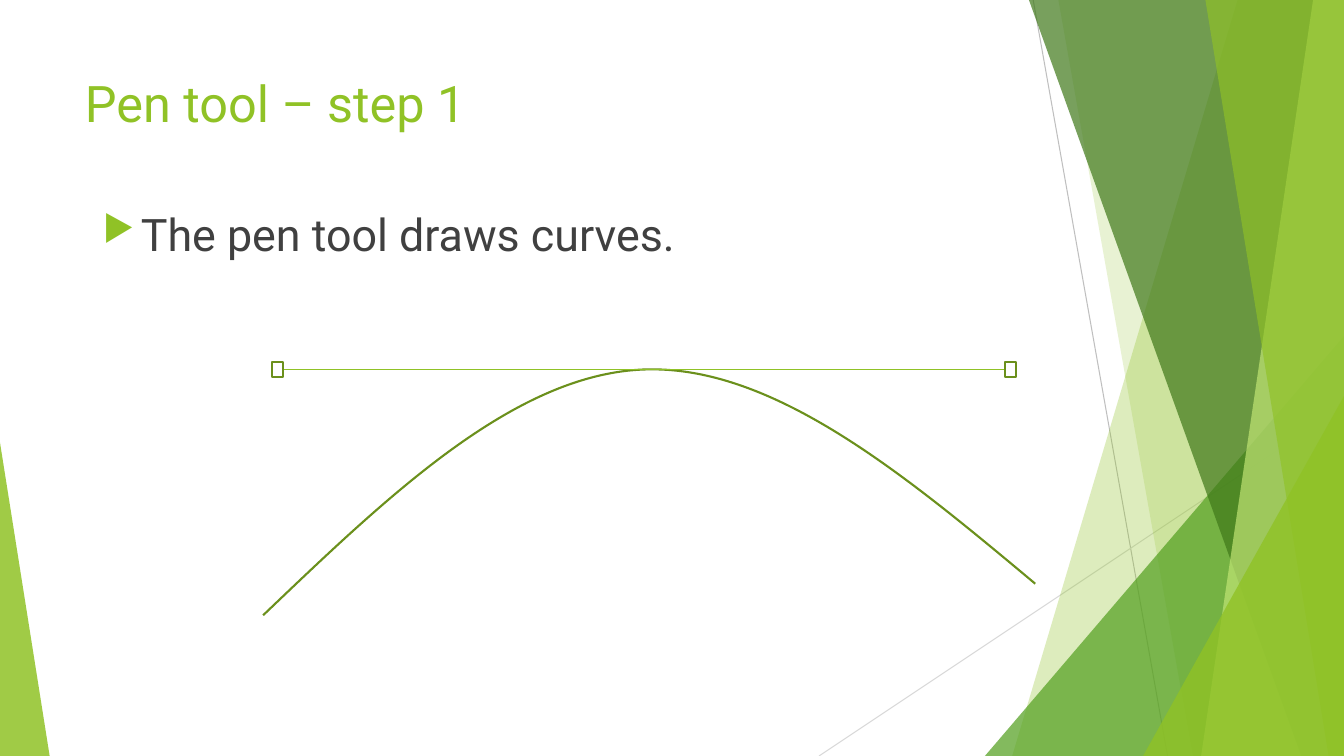
from lxml.etree import SubElement
from pptx import Presentation
from pptx.dml.color import RGBColor
from pptx.enum.shapes import MSO_CONNECTOR, MSO_SHAPE
from pptx.enum.text import MSO_ANCHOR, PP_ALIGN
from pptx.oxml.ns import qn
from pptx.util import Pt

GREEN = "90C226"
DARK_GREEN = "6B901C"
FONT = "Roboto"


def color(value):
    return RGBColor.from_string(value)


def fill_translucent(shape, value, opacity):
    shape.shadow.inherit = False
    shape.line.fill.background()
    shape.fill.solid()
    shape.fill.fore_color.rgb = color(value)
    solid = shape.fill.fore_color._xFill
    SubElement(solid[0], qn("a:alpha")).set("val", str(opacity * 1000))


def outline(shape, value, width):
    shape.shadow.inherit = False
    shape.fill.background()
    shape.line.color.rgb = color(value)
    shape.line.width = Pt(width)


def add_line(page, start, end, value, width):
    line = page.shapes.add_connector(
        MSO_CONNECTOR.STRAIGHT, *(Pt(length) for length in (*start, *end))
    )
    line.line.color.rgb = color(value)
    line.line.width = Pt(width)
    SubElement(line._element.spPr, qn("a:effectLst"))


def add_band(page, box, top_x, bottom_x, value, opacity):
    left, top, width, height = box
    right, bottom = left + width, top + height
    builder = page.shapes.build_freeform(Pt(left + top_x), Pt(top))
    corners = [(right, top), (right, bottom), (left + bottom_x, bottom)]
    builder.add_line_segments([(Pt(x), Pt(y)) for x, y in corners])
    fill_translucent(builder.convert_to_shape(), value, opacity)


def add_wedge(page, box, x, y, width, apex, value, opacity):
    left, top, _, height = box
    wedge = page.shapes.add_shape(
        MSO_SHAPE.ISOSCELES_TRIANGLE,
        Pt(left + x), Pt(top + y), Pt(width), Pt(height - y),
    )
    wedge.adjustments[0] = apex
    fill_translucent(wedge, value, opacity)


def add_backdrop(page, box):
    left, top, width, height = box
    right, bottom = left + width, top + height
    add_line(page, (left + 738, top), (left + 834, bottom), "BFBFBF", 0.75)
    add_line(page, (right, top + 290), (left + 585, bottom), "D9D9D9", 0.75)
    add_band(page, box, 884, 723, GREEN, 30)
    add_band(page, box, 756, 852, GREEN, 20)
    add_wedge(page, box, 703.5, 240, 256.5, 1, "54A021", 72)
    add_band(page, box, 735, 929.5, "3F7819", 70)
    add_band(page, box, 938, 858, "C0E474", 70)
    add_band(page, box, 861, 949, GREEN, 65)
    add_wedge(page, box, 816.5, 283, 143.5, 1, GREEN, 80)
    add_wedge(page, box, 0, 316, 35.5, 0, GREEN, 85)


def style_text(para, size, value):
    para.alignment = PP_ALIGN.LEFT
    para.font.name = FONT
    para.font.size = Pt(size)
    para.font.color.rgb = color(value)


def add_title(page, box, text):
    title = page.shapes.title
    title.left, title.top, title.width, title.height = (Pt(n) for n in box)
    title.text_frame.text = text
    title.text_frame.vertical_anchor = MSO_ANCHOR.TOP
    style_text(title.text_frame.paragraphs[0], 36, GREEN)


def add_bullet(page, box, text):
    frame = page.shapes.add_textbox(*(Pt(n) for n in box)).text_frame
    frame.word_wrap = True
    para = frame.paragraphs[0]
    para.text = text
    style_text(para, 32, "404040")
    properties = para._p.get_or_add_pPr()
    properties.set("marL", str(Pt(27)))
    properties.set("indent", str(Pt(-27)))
    bullet_color = SubElement(properties, qn("a:buClr"))
    SubElement(bullet_color, qn("a:srgbClr")).set("val", GREEN)
    SubElement(properties, qn("a:buSzPct")).set("val", "80000")
    SubElement(properties, qn("a:buChar")).set("char", "▶")
    properties.append(properties.find(qn("a:defRPr")))


def add_curve(page, start, points):
    builder = page.shapes.build_freeform(*(Pt(n) for n in start))
    builder.add_line_segments([(Pt(x), Pt(y)) for x, y in points], close=False)
    curve = builder.convert_to_shape()
    outline(curve, DARK_GREEN, 1.5)
    path = next(curve._element.iter(qn("a:path")))
    segments = path.findall(qn("a:lnTo"))
    for first in range(0, len(segments), 3):
        bend = SubElement(path, qn("a:cubicBezTo"))
        for segment in segments[first:first + 3]:
            bend.append(segment[0])
            path.remove(segment)


def add_pen_drawing(page, box):
    left, top, width, height = box
    right, bottom = left + width, top + height
    offsets = [(89.5, 90), (179, 4), (271, 0), (363, -4), (457, 74), (551.5, 153)]
    add_curve(page, (left, bottom), [(left + x, top + y) for x, y in offsets])
    handle_width, handle_height = 8, 11
    handle_lefts = (left + 6, right - 22)
    add_line(page, (handle_lefts[0] + handle_width, top),
             (handle_lefts[1], top), GREEN, 1)
    for handle_left in handle_lefts:
        handle = page.shapes.add_shape(
            MSO_SHAPE.RECTANGLE, Pt(handle_left), Pt(top - handle_height / 2),
            Pt(handle_width), Pt(handle_height),
        )
        outline(handle, DARK_GREEN, 1.5)


def main():
    deck = Presentation()
    deck.slide_width, deck.slide_height = Pt(960), Pt(540)
    page = deck.slides.add_slide(deck.slide_layouts[5])
    add_backdrop(page, (0, 0, 960, 540))
    add_title(page, (53.5, 48, 677, 104), "Pen tool – step 1")
    add_bullet(page, (66.5, 144, 828, 40), "The pen tool draws curves.")
    add_pen_drawing(page, (188, 264, 552, 175.5))
    deck.save("out.pptx")


if __name__ == "__main__":
    main()
